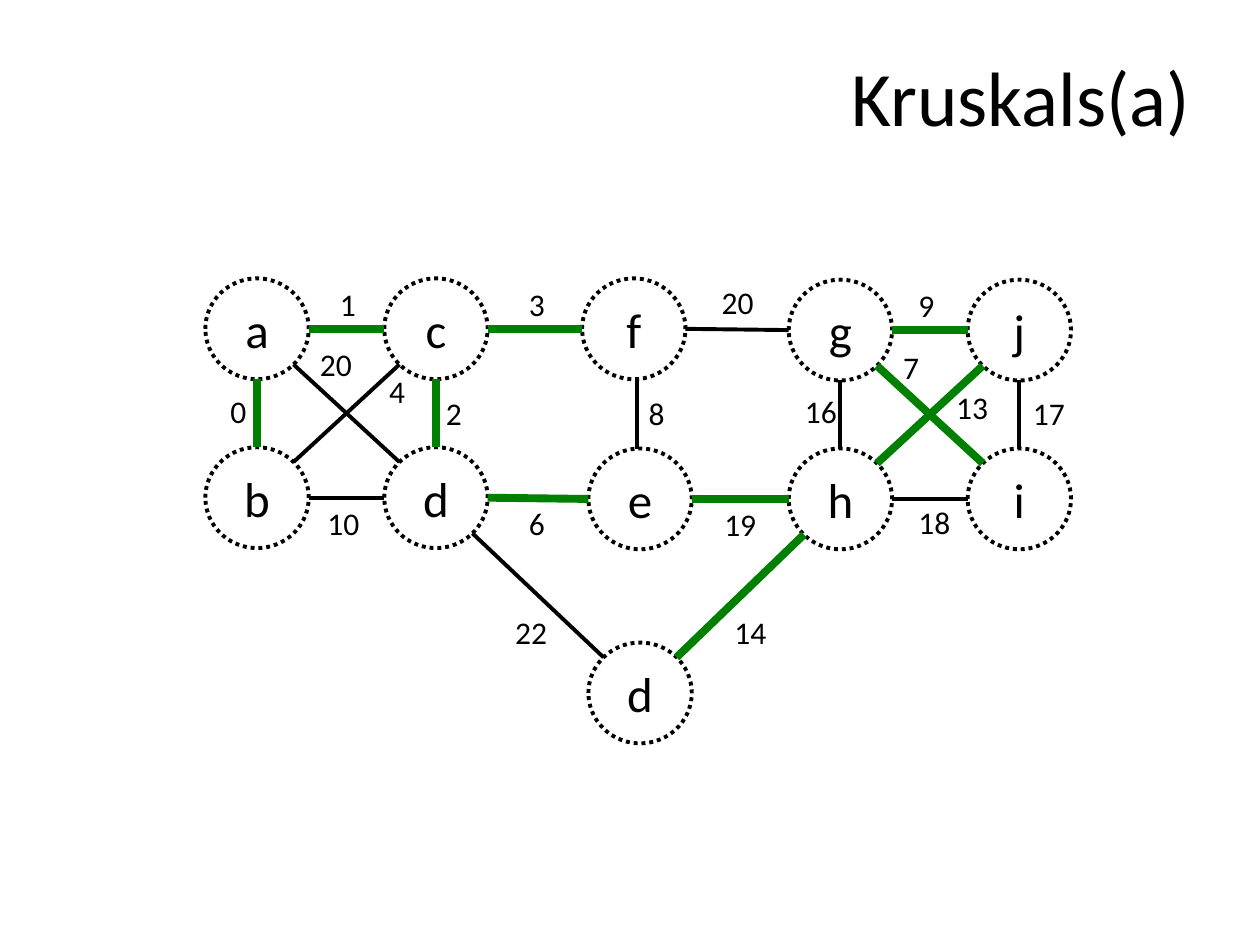
from math import sqrt

from lxml import etree
from pptx import Presentation
from pptx.dml.color import RGBColor
from pptx.enum.dml import MSO_LINE
from pptx.enum.shapes import MSO_CONNECTOR, MSO_SHAPE
from pptx.enum.text import MSO_ANCHOR, MSO_AUTO_SIZE, PP_ALIGN
from pptx.oxml.ns import qn
from pptx.util import Inches, Pt

BLACK, GREEN = "000000", "008000"
NODE_W, NODE_H = 0.82, 0.8

# Top-left corner of each node within the graph box; a node shows its key's first letter.
NODES = {
    "a": (0, 0), "c": (1.42, 0), "f": (2.99, 0), "g": (4.63, 0.01), "j": (6.05, 0.01),
    "b": (0, 1.34), "d": (1.42, 1.34), "e": (3.04, 1.35), "h": (4.63, 1.35), "i": (6.05, 1.35),
    "d_low": (3.04, 2.89),
}

# Ends, direction from the first end (x, y), weight, label corner, in the spanning tree
EDGES = [
    ("a", "c", (1, 0), 1, (0.97, 0), True),
    ("a", "d", (1, 1), 20, (0.81, 0.48), False),
    ("c", "b", (-1, 1), 4, (1.36, 0.69), False),
    ("a", "b", (0, 1), 0, (0.1, 0.85), True),
    ("b", "d", (1, 0), 10, (0.87, 1.74), False),
    ("c", "d", (0, 1), 2, (1.81, 0.87), True),
    ("c", "f", (1, 0), 3, (2.47, 0), True),
    ("f", "g", (1, 0), 20, (4, -0.01), False),
    ("d", "e", (1, 0), 6, (2.47, 1.74), True),
    ("e", "h", (1, 0), 19, (4.02, 1.75), True),
    ("f", "e", (0, 1), 8, (3.42, 0.87), False),
    ("g", "j", (1, 0), 9, (5.56, 0.01), True),
    ("g", "i", (1, 1), 7, (5.44, 0.5), True),
    ("j", "h", (-1, 1), 13, (5.86, 0.82), True),
    ("g", "h", (0, 1), 16, (4.66, 0.85), False),
    ("h", "i", (1, 0), 18, (5.56, 1.73), False),
    ("j", "i", (0, 1), 17, (6.47, 0.87), False),
    ("d", "d_low", (1, 1), 22, (2.36, 2.61), False),
    ("h", "d_low", (-1, 1), 14, (4.1, 2.61), True),
]


def color(value):
    return RGBColor.from_string(value)


def write(frame, text, size, align=PP_ALIGN.LEFT, anchor=MSO_ANCHOR.TOP):
    frame.word_wrap = True
    frame.auto_size = MSO_AUTO_SIZE.NONE
    frame.vertical_anchor = anchor
    para = frame.paragraphs[0]
    para.alignment = align
    span = para.add_run()
    span.text = text
    span.font.name = "Calibri"
    span.font.size = Pt(size)
    span.font.color.rgb = color(BLACK)


def add_title(page, text, left, top, width, height):
    title = page.shapes.title
    title.left, title.top = Inches(left), Inches(top)
    title.width, title.height = Inches(width), Inches(height)
    write(title.text_frame, text, 44)


def add_node(page, text, left, top):
    node = page.shapes.add_shape(MSO_SHAPE.OVAL, Inches(left), Inches(top),
                                 Inches(NODE_W), Inches(NODE_H))
    node.shadow.inherit = False
    node.fill.background()
    node.line.color.rgb = color(BLACK)
    node.line.width = Pt(2.25)
    node.line.dash_style = MSO_LINE.ROUND_DOT
    write(node.text_frame, text, 28, PP_ALIGN.CENTER, MSO_ANCHOR.MIDDLE)


def rim_point(key, dx, dy):
    """Point on a node's outline in the direction dx, dy, within the graph box."""
    left, top = NODES[key]
    reach = 1 / sqrt(dx * dx + dy * dy)
    return (left + NODE_W / 2 * (1 + dx * reach),
            top + NODE_H / 2 * (1 + dy * reach))


def add_edge(page, start, end, direction, in_tree, left, top):
    dx, dy = direction
    x1, y1 = rim_point(start, dx, dy)
    x2, y2 = rim_point(end, -dx, -dy)
    if dx == 0:
        x1 = x2 = (x1 + x2) / 2  # keep upright edges straight
    edge = page.shapes.add_connector(
        MSO_CONNECTOR.STRAIGHT, Inches(left + x1), Inches(top + y1),
        Inches(left + x2), Inches(top + y2))
    edge.line.color.rgb = color(GREEN if in_tree else BLACK)
    edge.line.width = Pt(4.5 if in_tree else 2.25)
    etree.SubElement(edge._element.spPr, qn("a:effectLst"))


def add_weight(page, weight, left, top):
    box = page.shapes.add_textbox(Inches(left), Inches(top), Inches(0.6), Inches(0.4))
    write(box.text_frame, str(weight), 18)


def add_graph(page, left, top):
    for key, (x, y) in NODES.items():
        add_node(page, key[0], left + x, top + y)
    for start, end, direction, weight, (x, y), in_tree in EDGES:
        add_edge(page, start, end, direction, in_tree, left, top)
        add_weight(page, weight, left + x, top + y)


def main():
    deck = Presentation()
    deck.slide_width, deck.slide_height = Inches(10), Inches(7.5)
    page = deck.slides.add_slide(deck.slide_layouts.get_by_name("Title Only"))
    add_title(page, "Kruskals(a)", 6.66, 0.34, 2.92, 0.84)
    add_graph(page, 1.63, 2.21)
    deck.save("out.pptx")


if __name__ == "__main__":
    main()
